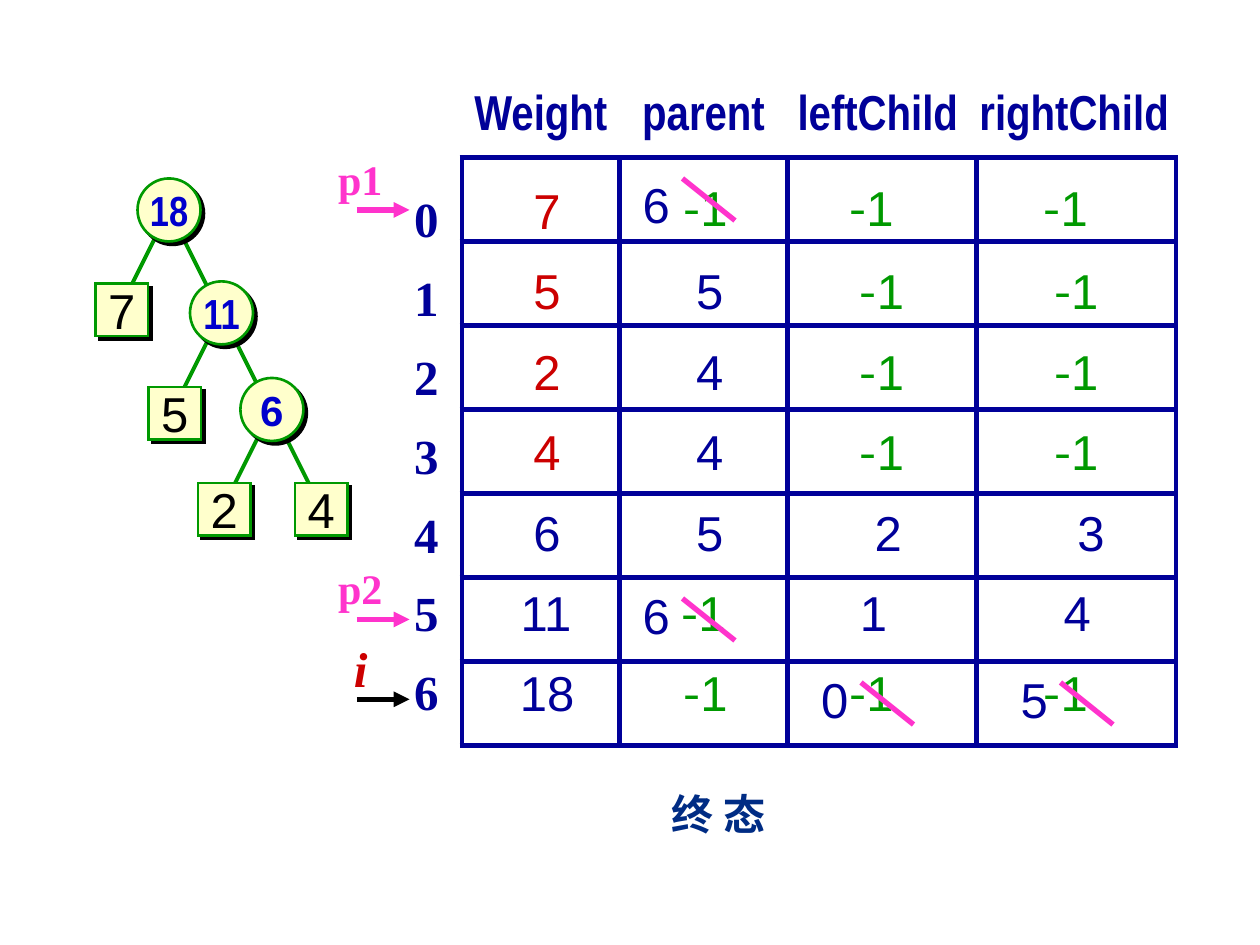
from lxml import etree
from pptx import Presentation
from pptx.dml.color import RGBColor
from pptx.enum.shapes import MSO_CONNECTOR as Connector, MSO_SHAPE as Shape
from pptx.enum.text import MSO_ANCHOR as Anchor, PP_ALIGN as Align
from pptx.oxml import parse_xml
from pptx.oxml.ns import nsdecls, qn
from pptx.util import Inches, Pt

NAVY, GREEN, RED, PINK = "000099", "009900", "CC0000", "FF33CC"
BLUE, CREAM, BLACK, INK = "0000CC", "FFFFCC", "000000", "002C84"
ARIAL, NARROW, TIMES, CJK = "Arial", "Arial Narrow", "Times New Roman", "Noto Sans CJK SC"

# Column headings with the grid column of their middle.
HEADINGS = [("Weight", 51.5), ("parent", 67), ("leftChild", 83.6), ("rightChild", 102.3)]
WIDTHS = [15, 16, 18, 19]
ROW_HEIGHT = 8
TABLE_LEFT, TABLE_TOP = 44, 15
VALUES = [
    ["7", "-1", "-1", "-1"],
    ["5", "5", "-1", "-1"],
    ["2", "4", "-1", "-1"],
    ["4", "4", "-1", "-1"],
    ["6", "5", "2", "3"],
    ["11", "-1", "1", "4"],
    ["18", "-1", "-1", "-1"],
]
# Sideways shift of each value from the middle of its cell, in grid units.
SHIFTS = [
    [0.6, 0.2, -1, -1],
    [0.6, 0.6, 0, 0],
    [0.6, 0.6, 0, 0],
    [0.6, 0.6, 0, 0],
    [0.6, 0.6, 0.6, 1.4],
    [0.5, 0, -0.8, 0.1],
    [0.6, 0.2, -1, -1],
]

# Inner nodes: label, centre column, centre row, font.
CIRCLES = [("18", 16.1, 20, NARROW), ("11", 21.1, 29.8, NARROW), ("6", 25.9, 39, ARIAL)]
LEAVES = [("7", 11.6, 29.5), ("5", 16.65, 39.35), ("2", 21.35, 48.5), ("4", 30.6, 48.5)]
# Pointers: label, box (left, top, width), arrow row, colours and text format.
POINTERS = [
    ("p1", (31, 14, 6.6), 20, PINK, dict(size=24, color=PINK)),
    ("p2", (31, 53, 6.6), 59, PINK, dict(size=24, color=PINK)),
    ("i", (32.5, 60.15, 3.7), 66.6, BLACK, dict(size=28, color=RED, italic=True)),
]
# Replaced values: new value, left and top of the strike, top of the new value.
REPLACEMENTS = [("6", 65, 17, 16), ("6", 65, 57, 55.2), ("0", 82, 65, 63.2), ("5", 101, 65, 63.2)]


def rgb(value):
    return RGBColor.from_string(value)


def unit(count):
    """Length of a number of grid cells; the slide has 120 columns and 90 rows."""
    return Inches(count / 12)


def write(frame, *lines, size=28, font=ARIAL, color=NAVY, bold=False, italic=False,
          align=Align.CENTER, anchor=Anchor.MIDDLE, spacing=None, before=0):
    """Fill a text frame, one paragraph a line; minus signs take the CJK font."""
    frame.vertical_anchor = anchor
    for index, line in enumerate(lines):
        para = frame.add_paragraph() if index else frame.paragraphs[0]
        para.alignment = align
        if spacing:
            para.line_spacing = spacing
        if index and before:
            para.space_before = Pt(before)
        for piece in ("-", line[1:]) if line.startswith("-") else (line,):
            span = para.add_run()
            span.text = piece
            span.font.name = CJK if piece == "-" else font
            span.font.size = Pt(size)
            span.font.bold, span.font.italic = bold, italic
            span.font.color.rgb = rgb(color)


class Board:
    """Holds the current slide and draws in grid units."""

    def __init__(self, slide):
        self.shapes = slide.shapes

    def label(self, left, top, width, height, *lines, **style):
        box = self.shapes.add_textbox(unit(left), unit(top), unit(width), unit(height))
        box.text_frame.word_wrap = False
        write(box.text_frame, *lines, **style)

    def line(self, start, end, color, width=3, arrow=False):
        link = self.shapes.add_connector(
            Connector.STRAIGHT, *(unit(value) for value in (*start, *end)))
        link.line.color.rgb = rgb(color)
        link.line.width = Pt(width)
        if arrow:
            etree.SubElement(link.line._get_or_add_ln(), qn("a:tailEnd"), type="triangle")
        etree.SubElement(link._element.spPr, qn("a:effectLst"))

    def node(self, kind, text, column, row, side, **style):
        """Draw a tree node around its centre, with a hard shadow."""
        node = self.shapes.add_shape(
            kind, unit(column - side / 2), unit(row - side / 2), unit(side), unit(side))
        node.fill.solid()
        node.fill.fore_color.rgb = rgb(CREAM)
        node.line.color.rgb = rgb(GREEN)
        node.line.width = Pt(1.5)
        etree.SubElement(node.line._get_or_add_ln(), qn("a:miter"), lim="800000")
        node._element.spPr.append(parse_xml(
            f'<a:effectLst {nsdecls("a")}><a:outerShdw blurRad="0" dist="{Pt(2.8)}" '
            f'dir="2700000" algn="ctr" rotWithShape="0"><a:srgbClr val="{BLACK}"/>'
            '</a:outerShdw></a:effectLst>'))
        frame = node.text_frame
        frame.word_wrap = False
        frame.margin_left = frame.margin_right = frame.margin_top = frame.margin_bottom = 0
        write(frame, text, **style)

    def table(self, left, top):
        table = self.shapes.add_table(
            len(VALUES), len(WIDTHS), unit(left), unit(top),
            unit(sum(WIDTHS)), unit(ROW_HEIGHT * len(VALUES))).table
        table.first_row = table.horz_banding = False
        for column, width in zip(table.columns, WIDTHS):
            column.width = unit(width)
        for row, values in enumerate(VALUES):
            table.rows[row].height = unit(ROW_HEIGHT)
            for column, value in enumerate(values):
                color = GREEN if value == "-1" else RED if column == 0 and row < 4 else NAVY
                drop = 2.5 - 0.34 * row + (0.37 if value == "-1" else 0)
                self.cell(table.cell(row, column), value, color, SHIFTS[row][column],
                          min(drop, 2.6))

    def cell(self, cell, value, color, shift, drop):
        properties = cell._tc.get_or_add_tcPr()
        for side in "LRTB":
            properties.append(parse_xml(
                f'<a:ln{side} {nsdecls("a")} w="{Pt(3)}"><a:solidFill>'
                f'<a:srgbClr val="{NAVY}"/></a:solidFill></a:ln{side}>'))
        cell.fill.background()
        cell.margin_left = unit(max(2 * shift, 0))
        cell.margin_right = unit(max(-2 * shift, 0))
        cell.margin_top, cell.margin_bottom = unit(drop), 0
        write(cell.text_frame, value, color=color, spacing=Pt(32))
        cell.vertical_anchor = Anchor.TOP


def draw_tree(board):
    for _, column, row, _ in CIRCLES:
        for side in (-1, 1):
            board.line((column + side, row + 2), (column + 4 * side, row + 8), GREEN, 2.25)
    for text, column, row in LEAVES:
        board.node(Shape.RECTANGLE, text, column, row, 5, color=BLACK)
    for text, column, row, font in CIRCLES:
        board.node(Shape.OVAL, text, column, row, 6, size=24, font=font, color=BLUE, bold=True)


def draw_table(board):
    board.table(TABLE_LEFT, TABLE_TOP)
    for heading, middle in HEADINGS:
        board.label(middle - 11, 7.2, 22, 6.8, heading, font=NARROW, bold=True)
    board.label(38.2, 17.05, 4.8, 52.2, *(str(row) for row in range(len(VALUES))),
                font=TIMES, bold=True, spacing=1.05, before=9.8)
    for value, left, top, text_top in REPLACEMENTS:
        board.line((left, top), (left + 5, top + 4), PINK)
        board.label(left - 5, text_top, 5, 6.8, value)


def main():
    deck = Presentation()
    deck.slide_width, deck.slide_height = unit(120), unit(90)
    board = Board(deck.slides.add_slide(deck.slide_layouts[6]))
    draw_tree(board)
    draw_table(board)
    for text, (left, top, width), row, color, style in POINTERS:
        board.line((34, row), (39, row), color, arrow=True)
        board.label(left, top, width, style["size"] / 4, text, font=TIMES, bold=True, **style)
    board.label(62.8, 74.5, 11.4, 6, "终 态", size=24, font=TIMES, color=INK, bold=True,
                align=Align.LEFT, anchor=Anchor.TOP)
    deck.save("out.pptx")


if __name__ == "__main__":
    main()
